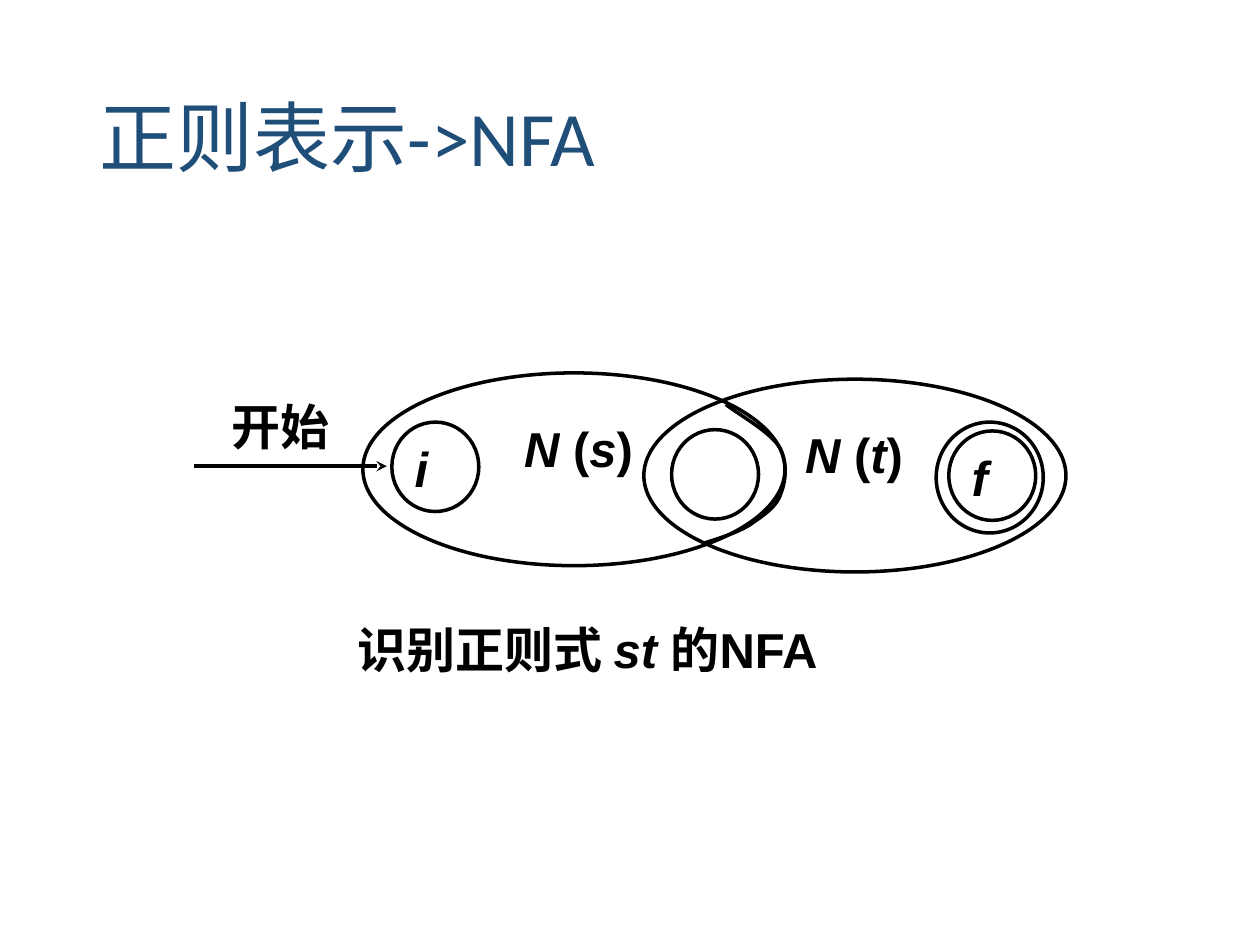
"""Build a slide showing the NFA that recognises the concatenation st."""
from lxml.etree import SubElement
from pptx import Presentation
from pptx.dml.color import RGBColor
from pptx.enum.shapes import MSO_CONNECTOR as Connector, MSO_SHAPE as Shape
from pptx.enum.text import MSO_ANCHOR as Anchor, PP_ALIGN as Align
from pptx.oxml.ns import qn
from pptx.util import Inches, Pt

BLACK = "000000"
TITLE_BLUE = "1F4E79"
STATE_SIZE = (0.69, 0.71)
MACHINE_SIZE = (3.35, 1.53)
LABEL_INSETS = (0.06, 0.03, 0.06, 0.03)


def color(value):
    """Turn a hex string into a colour."""
    return RGBColor.from_string(value)


def set_line(item):
    """Give an item the black diagram line."""
    item.line.color.rgb = color(BLACK)
    item.line.width = Pt(2)


def write(shape, spans, insets, align=Align.LEFT, anchor=Anchor.TOP,
          font="Arial", size=28, fill=BLACK, bold=True):
    """Write one paragraph of (text, italic) spans into a shape."""
    frame = shape.text_frame
    frame.word_wrap = True
    frame.vertical_anchor = anchor
    (frame.margin_left, frame.margin_top,
     frame.margin_right, frame.margin_bottom) = map(Inches, insets)
    para = frame.paragraphs[0]
    para.alignment = align
    para.font.name = font
    para.font.size = Pt(size)
    para.font.bold = bold
    para.font.color.rgb = color(fill)
    for text, italic in spans:
        span = para.add_run()
        span.text = text
        span.font.italic = italic
    return para


def add_text(page, place, spans, insets, **style):
    """Add a text box and return its paragraph."""
    box = page.shapes.add_textbox(*map(Inches, place))
    return write(box, spans, insets, **style)


def add_ellipse(page, corner, size, name="", bottom=0.05):
    """Add an unfilled ellipse, with a state name when given."""
    ellipse = page.shapes.add_shape(Shape.OVAL, *map(Inches, corner + size))
    ellipse.shadow.inherit = False
    ellipse.fill.background()
    set_line(ellipse)
    if name:
        write(ellipse, [(name, True)], (0.08, 0.03, 0.02, bottom))


def add_machine_label(page, corner, symbol):
    """Add the label N (symbol) of a sub-machine."""
    spans = [("N ", True), ("(", False), (symbol, True), (")", False)]
    add_text(page, corner + (1.16, 0.85), spans,
             (0.09, 0.03, 0.1, 0.05), align=Align.JUSTIFY)


def bezier_points(start, curves, steps=12):
    """Sample a chain of cubic curves into points."""
    points = []
    for first, second, end in curves:
        for step in range(1, steps + 1):
            t = step / steps
            weights = ((1 - t) ** 3, 3 * t * (1 - t) ** 2,
                       3 * t ** 2 * (1 - t), t ** 3)
            corners = (start, first, second, end)
            points.append(tuple(
                Inches(sum(w * c[axis] for w, c in zip(weights, corners)))
                for axis in (0, 1)))
        start = end
    return points


def add_curve(page, start, curves):
    """Add an open curved outline."""
    builder = page.shapes.build_freeform(*map(Inches, start))
    builder.add_line_segments(bezier_points(start, curves), close=False)
    curve = builder.convert_to_shape()
    curve.shadow.inherit = False
    curve.fill.background()
    set_line(curve)


def add_arrow(page, start, end):
    """Add a straight arrow with a stealth head."""
    arrow = page.shapes.add_connector(
        Connector.STRAIGHT, *map(Inches, start + end))
    set_line(arrow)
    SubElement(arrow.line._get_or_add_ln(), qn("a:tailEnd"), type="stealth")
    SubElement(arrow._element.spPr, qn("a:effectLst"))


def main():
    """Build and save the slide."""
    deck = Presentation()
    deck.slide_width, deck.slide_height = Inches(10), Inches(7.5)
    page = deck.slides.add_slide(deck.slide_layouts[6])

    title = add_text(page, (0.69, 0.4, 8.62, 1.45), [("正则表示->NFA", False)],
                     (0.1, 0.05, 0.1, 0.05), anchor=Anchor.MIDDLE,
                     font="Calibri", size=44, fill=TITLE_BLUE, bold=False)
    title.line_spacing = 0.9

    add_ellipse(page, (2.88, 2.96), MACHINE_SIZE)
    add_ellipse(page, (3.11, 3.35), STATE_SIZE, "i")
    add_machine_label(page, (4.07, 3.29), "s")
    add_ellipse(page, (5.11, 3.01), MACHINE_SIZE)
    add_ellipse(page, (7.43, 3.35), (0.85, 0.88))
    add_ellipse(page, (7.53, 3.42), STATE_SIZE, "f", bottom=0.02)
    add_text(page, (1.78, 3.12, 1.12, 0.67), [("开始", False)],
             LABEL_INSETS, align=Align.JUSTIFY)
    add_ellipse(page, (5.33, 3.41), STATE_SIZE)
    add_machine_label(page, (6.3, 3.34), "t")
    add_curve(page, (5.76, 3.21), [
        ((5.83, 3.27), (6.1, 3.42), (6.18, 3.54)),
        ((6.25, 3.65), (6.24, 3.81), (6.2, 3.91)),
        ((6.17, 4.02), (6.06, 4.09), (5.96, 4.16)),
        ((5.86, 4.23), (5.65, 4.29), (5.59, 4.31)),
    ])
    add_arrow(page, (1.54, 3.7), (3.07, 3.7))
    add_text(page, (2.78, 4.89, 5.12, 0.6),
             [("识别正则式 ", False), ("st ", True), ("的NFA", False)],
             LABEL_INSETS)
    deck.save("out.pptx")


main()
